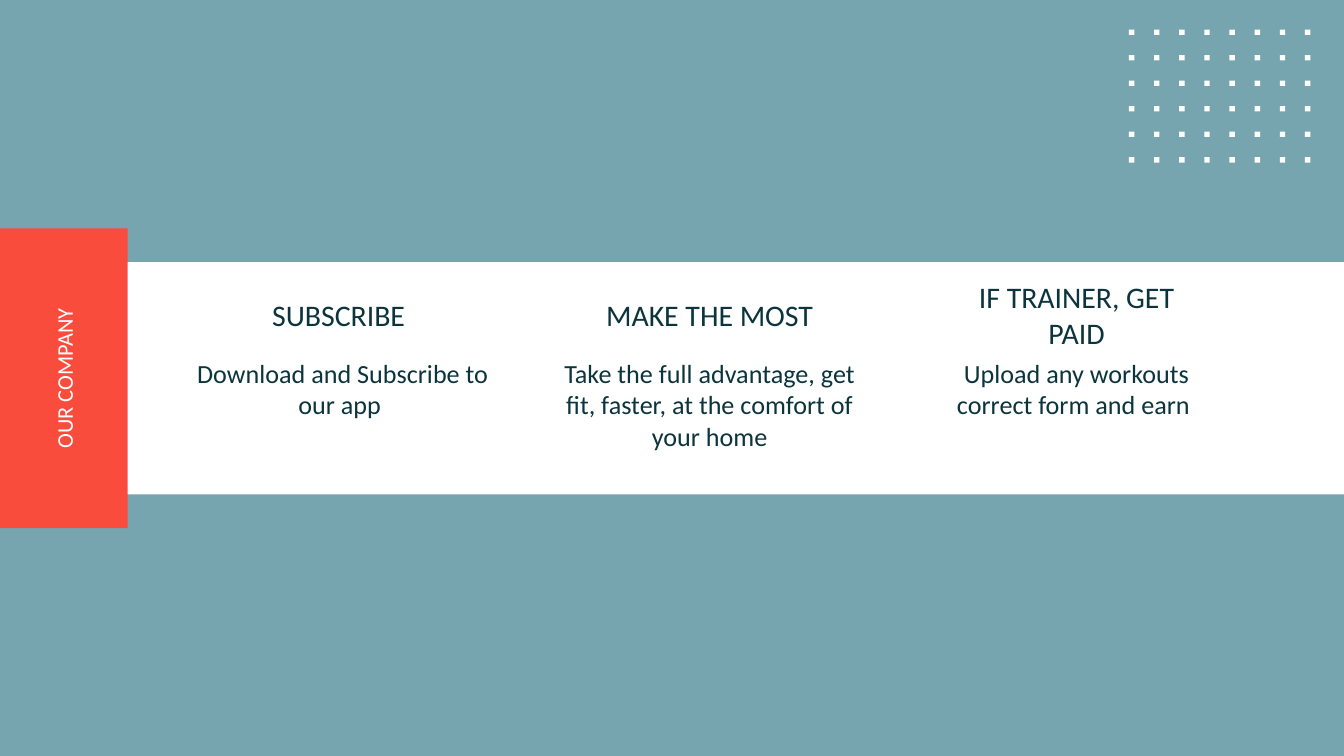
from pptx import Presentation
from pptx.dml.color import RGBColor
from pptx.enum.shapes import MSO_SHAPE
from pptx.enum.text import MSO_ANCHOR, MSO_AUTO_SIZE, PP_ALIGN
from pptx.util import Inches, Pt

RECT = MSO_SHAPE.RECTANGLE
MIDDLE, TOP = MSO_ANCHOR.MIDDLE, MSO_ANCHOR.TOP
CENTER = PP_ALIGN.CENTER
NO_FIT = MSO_AUTO_SIZE.NONE

COLORS = {"teal": "76A5AF", "red": "F94C3C", "white": "FFFFFF", "ink": "0C343D"}

# Heading, its left edge within the step, body
STEPS = [
    ("SUBSCRIBE", 0.34, "Download and Subscribe to our app "),
    ("MAKE THE MOST", 0.37,
     "Take the full advantage, get fit, faster, at the comfort of your home"),
    ("IF TRAINER, GET PAID", 0.37, "Upload any workouts correct form and earn "),
]


def rgb(name):
    return RGBColor.from_string(COLORS[name])


def add_rect(shapes, x, y, w, h, color):
    sp = shapes.add_shape(RECT, Inches(x), Inches(y), Inches(w), Inches(h))
    sp.shadow.inherit = False
    sp.fill.solid()
    sp.fill.fore_color.rgb = rgb(color)
    sp.line.fill.background()
    return sp


def set_text(sp, text, size, color, anchor=MIDDLE, inset=0.1):
    tf = sp.text_frame
    margins = dict.fromkeys(
        ("margin_left", "margin_top", "margin_right", "margin_bottom"), Inches(inset))
    frame = {"word_wrap": True, "auto_size": NO_FIT, "vertical_anchor": anchor}
    for name, value in {**frame, **margins}.items():
        setattr(tf, name, value)
    p = tf.paragraphs[0]
    p.alignment = CENTER
    r = p.add_run()
    r.text = text
    for name, value in {"name": "Calibri", "size": Pt(size)}.items():
        setattr(r.font, name, value)
    r.font.color.rgb = rgb(color)


def add_dots(slide, x, y, w, h, cols=8, rows=6, size=0.04):
    group = slide.shapes.add_group_shape()
    dx, dy = (w - size) / (cols - 1), (h - size) / (rows - 1)
    for row in range(rows):
        for col in range(cols):
            add_rect(group.shapes, x + col * dx, y + row * dy, size, size, "white")


def add_tab(slide, x, y, w, h):
    tab = add_rect(slide.shapes, x, y, w, h, "red")
    # Vertical title, read upwards, centred on the tab
    title = slide.shapes.title
    length, depth = 4.39, 0.63
    title.left = Inches(x + (w - length) / 2)
    title.top = Inches(y + (h - depth) / 2)
    title.width, title.height = Inches(length), Inches(depth)
    title.rotation = 270
    set_text(title, "OUR COMPANY", 12, "white")
    # Bring the title in front of the tab
    tab.element.addnext(title.element)


def add_step(slide, x, y, w, heading, indent, body):
    head_w, head_h, body_h = 1.68, 0.44, 0.6
    head = slide.shapes.add_textbox(
        Inches(x + indent), Inches(y), Inches(head_w), Inches(head_h))
    set_text(head, heading, 16, "ink", inset=0)
    text = slide.shapes.add_textbox(
        Inches(x), Inches(y + head_h), Inches(w), Inches(body_h))
    set_text(text, body, 14, "ink", anchor=TOP)
    text.text_frame.paragraphs[0].space_after = Pt(16)


def add_band(slide, x, y, w, h):
    add_rect(slide.shapes, x, y, w, h, "white")
    for i, step in enumerate(STEPS):
        add_step(slide, x + 1.34 + i * 2.73, y + 0.17, 2.42, *step)


def main():
    prs = Presentation()
    prs.slide_width = Inches(10)
    prs.slide_height = prs.slide_width * 9 // 16
    slide = prs.slides.add_slide(prs.slide_layouts[5])
    slide.background.fill.solid()
    slide.background.fill.fore_color.rgb = rgb("teal")

    add_dots(slide, 8.4, 0.22, 1.35, 0.99)
    add_band(slide, 0, 1.95, 10, 1.73)
    add_tab(slide, 0, 1.7, 0.95, 2.23)
    prs.save("out.pptx")


if __name__ == "__main__":
    main()
